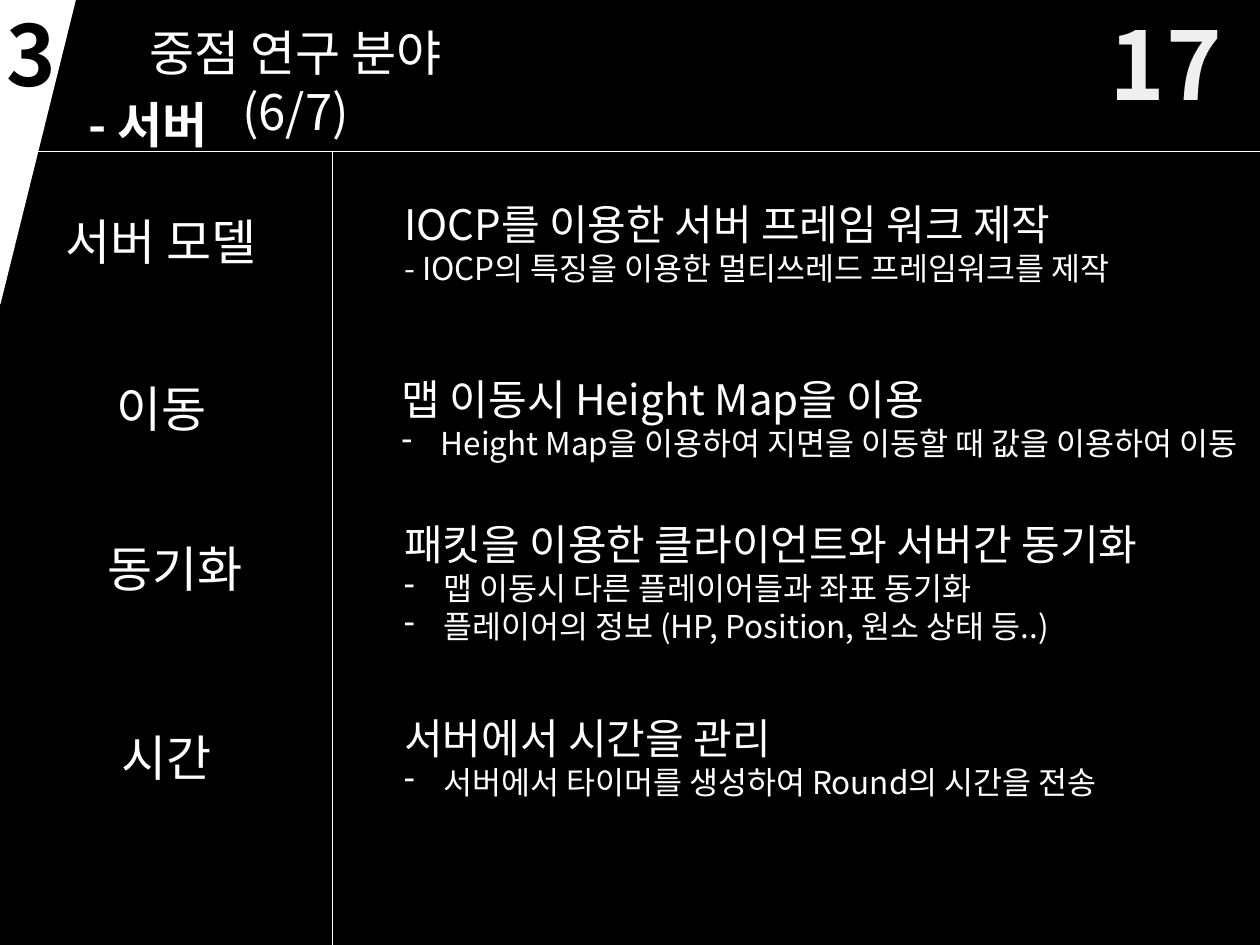
from dataclasses import dataclass

from lxml.etree import SubElement
from pptx import Presentation
from pptx.dml.color import RGBColor
from pptx.enum.shapes import MSO_CONNECTOR, MSO_SHAPE
from pptx.enum.text import MSO_ANCHOR, MSO_AUTO_SIZE, PP_ALIGN
from pptx.oxml import parse_xml
from pptx.oxml.ns import nsdecls, qn
from pptx.util import Inches, Pt


@dataclass(frozen=True)
class Theme:
    """Colours, font and type sizes of the slide."""
    font: str = "Noto Sans CJK KR"
    dark: str = "000000"
    light: str = "FFFFFF"
    page: str = "FCFCFD"
    page_outline: str = "101A26"
    page_size: int = 54
    chapter_size: int = 48
    title_size: int = 28
    topic_size: int = 24
    detail_size: int = 18


THEME = Theme()
TOPICS = [
    ("서버 모델", (0.18, 1.63, 2.19, 0.57), (3.11, 1.52, 5.91, 0.81),
     "IOCP를 이용한 서버 프레임 워크 제작",
     ["- IOCP의 특징을 이용한 멀티쓰레드 프레임워크를 제작"], False),
    ("이동", (0.19, 2.95, 2.19, 0.57), (3.09, 2.91, 6.86, 0.81),
     "맵 이동시 Height Map을 이용",
     ["Height Map을 이용하여 지면을 이동할 때 값을 이용하여 이동"], True),
    ("동기화", (0.29, 4.22, 2.19, 0.57), (3.11, 4.06, 6.55, 1.11),
     "패킷을 이용한 클라이언트와 서버간 동기화",
     ["맵 이동시 다른 플레이어들과 좌표 동기화",
      "플레이어의 정보 (HP, Position, 원소 상태 등..)"], True),
    ("시간", (0.23, 5.72, 2.19, 0.57), (3.11, 5.6, 6.86, 0.81),
     "서버에서 시간을 관리",
     ["서버에서 타이머를 생성하여 Round의 시간을 전송"], True),
]


def add_panel(slide, preset, box, color, rotation=0):
    """Draw a flat shape whose fill and line share one colour."""
    panel = slide.shapes.add_shape(preset, *map(Inches, box))
    panel.rotation = rotation
    panel.shadow.inherit = False
    panel.fill.solid()
    panel.fill.fore_color.rgb = RGBColor.from_string(color)
    panel.line.color.rgb = RGBColor.from_string(color)
    panel.line.width = Pt(2)


def add_rule(slide, start, end):
    """Draw a thin light line between two points."""
    rule = slide.shapes.add_connector(
        MSO_CONNECTOR.STRAIGHT, *map(Inches, start + end))
    rule.line.color.rgb = RGBColor.from_string(THEME.light)
    rule.line.width = Pt(0.75)
    SubElement(rule._element.spPr, qn("a:effectLst"))


def add_frame(slide, box, anchor=MSO_ANCHOR.TOP, wrap=True):
    """Add an empty text box and return its text frame."""
    frame = slide.shapes.add_textbox(*map(Inches, box)).text_frame
    frame.word_wrap = wrap
    frame.auto_size = MSO_AUTO_SIZE.SHAPE_TO_FIT_TEXT
    frame.vertical_anchor = anchor
    return frame


def add_text(paragraph, text, size, color=THEME.light, bold=False, align=None):
    """Add one styled run to a paragraph and return it."""
    paragraph.alignment = align
    run = paragraph.add_run()
    run.text = text
    run.font.size = Pt(size)
    run.font.bold = bold
    run.font.color.rgb = RGBColor.from_string(color)
    run.font.name = THEME.font
    SubElement(run.font._element, qn("a:ea"), typeface=THEME.font)
    return run


def add_dash(paragraph):
    """Give a paragraph a hanging dash bullet."""
    properties = paragraph._p.get_or_add_pPr()
    properties.set("marL", str(Inches(0.31)))
    properties.set("indent", str(-Inches(0.31)))
    SubElement(properties, qn("a:buFontTx"))
    SubElement(properties, qn("a:buChar"), char="-")


def add_page_number(slide, box, number):
    """Place the large page number with its faint outline."""
    frame = add_frame(slide, box, wrap=False)
    run = add_text(frame.paragraphs[0], number, THEME.page_size, THEME.page,
                   True, PP_ALIGN.CENTER)
    properties = run.font._element
    properties.set("spc", "50")
    fill = properties.find(qn("a:solidFill"))
    SubElement(fill[0], qn("a:alpha"), val="95000")
    properties.insert(0, parse_xml(
        f'<a:ln {nsdecls("a")} w="{Pt(1.06)}"><a:solidFill>'
        f'<a:srgbClr val="{THEME.page_outline}"><a:alpha val="6000"/>'
        '</a:srgbClr></a:solidFill><a:prstDash val="solid"/></a:ln>'))


def add_header(slide, box):
    """Place chapter number, titles and page number in the top band."""
    left, top, width, height = box
    chapter = add_frame(slide, (left - 0.06, top - 0.03, 0.61, 0.91))
    add_text(chapter.paragraphs[0], "3", THEME.chapter_size, THEME.dark,
             True, PP_ALIGN.CENTER)
    title = add_frame(slide, (left + 0.67, top + 0.13, 3.35, 0.57))
    add_text(title.paragraphs[0], "중점 연구 분야 (6/7)", THEME.title_size,
             align=PP_ALIGN.CENTER)
    subtitle = add_frame(slide, (left + 0.6, top + 0.7, 2.78, 0.57))
    add_text(subtitle.paragraphs[0], "- 서버", THEME.title_size, bold=True)
    add_page_number(slide, (left + width - 1.29, top, 1.09, 1.01), "17")
    add_rule(slide, (left + 0.29, top + height), (left + width, top + height))


def add_topic(slide, label, label_box, body_box, heading, details, dashed):
    """Place one topic label with its heading and details."""
    name = add_frame(slide, label_box, MSO_ANCHOR.MIDDLE)
    add_text(name.paragraphs[0], label, THEME.title_size,
             align=PP_ALIGN.CENTER)
    body = add_frame(slide, body_box, MSO_ANCHOR.MIDDLE)
    add_text(body.paragraphs[0], heading, THEME.topic_size)
    for detail in details:
        paragraph = body.add_paragraph()
        if dashed:
            add_dash(paragraph)
        add_text(paragraph, detail, THEME.detail_size)


def main():
    """Build the slide and save it."""
    deck = Presentation()
    deck.slide_width, deck.slide_height = Inches(10), Inches(7.5)
    slide = deck.slides.add_slide(deck.slide_layouts[6])
    add_panel(slide, MSO_SHAPE.RECTANGLE, (0, 0, 10, 7.5), THEME.dark)
    add_panel(slide, MSO_SHAPE.RIGHT_TRIANGLE, (-0.92, 0.9, 2.42, 0.6),
              THEME.light, 90)
    add_header(slide, (0, 0, 10, 1.2))
    add_rule(slide, (2.64, 1.2), (2.64, 7.5))
    for topic in TOPICS:
        add_topic(slide, *topic)
    deck.save("out.pptx")


if __name__ == "__main__":
    main()
